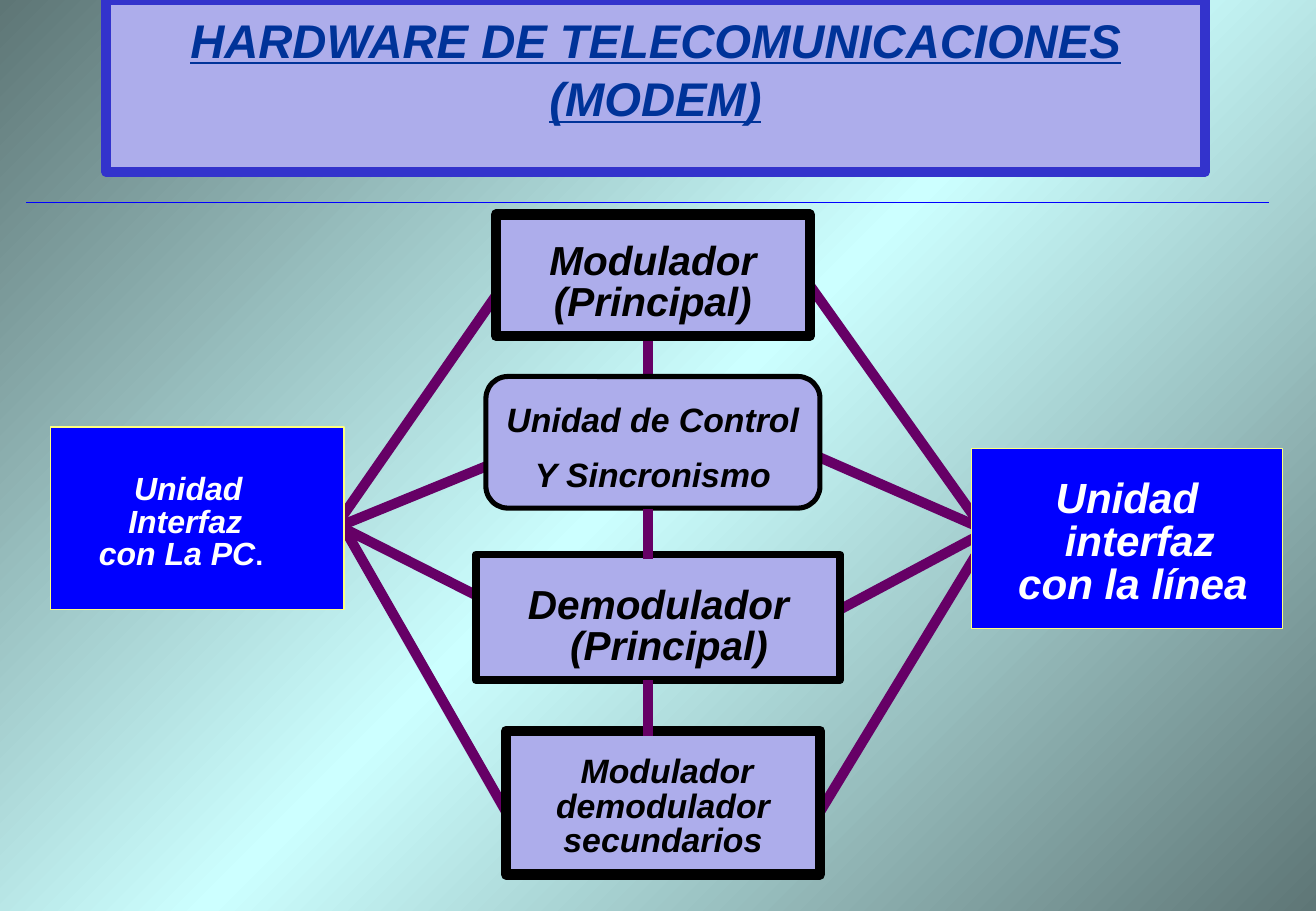
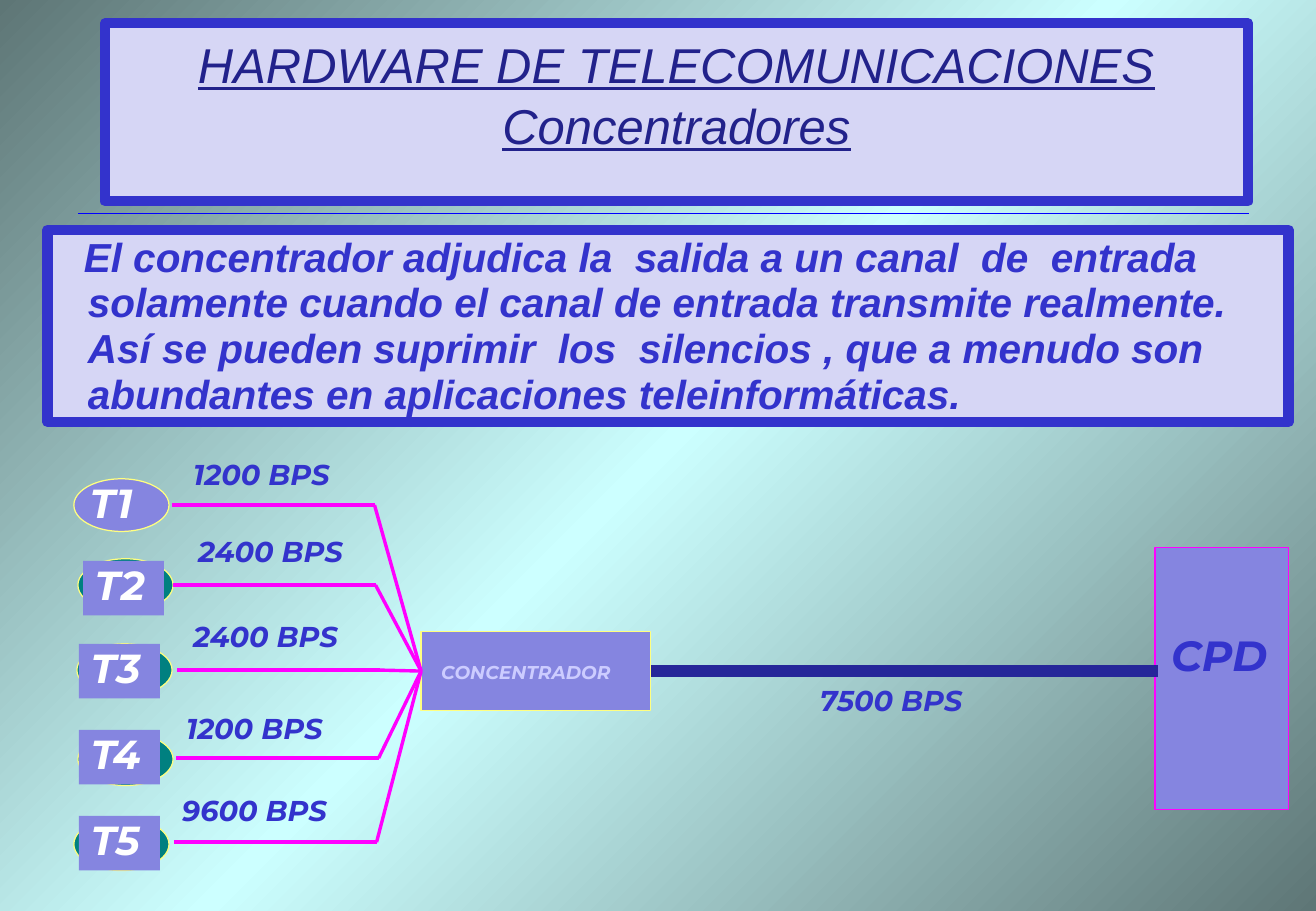
from copy import deepcopy
from dataclasses import dataclass
from typing import NamedTuple, Optional

from lxml import etree
from pptx import Presentation
from pptx.dml.color import RGBColor
from pptx.enum import shapes, text
from pptx.oxml.ns import qn
from pptx import util as u

# The grid has 12 cells to the inch: 130 columns by 90 rows.
COLUMNS, ROWS = 130, 90
COLORS = {
    "edge": "5E7676", "glow": "CCFFFF", "lilac": "ADADEB", "pale": "D6D6F5",
    "violet": "8585E0", "indigo": "3333CC", "navy": "262699", "rule": "0000FF",
    "purple": "660066", "magenta": "FF00FF", "teal": "008080", "cream": "FFFF80",
    "black": "000000", "white": "FFFFFF", "mist": "CCCCFF",
    "title_blue": "003399", "title_navy": "22228B",
}
RECT = shapes.MSO_SHAPE.RECTANGLE
ROUNDED = shapes.MSO_SHAPE.ROUNDED_RECTANGLE
OVAL = shapes.MSO_SHAPE.OVAL
CENTER, LEFT = text.PP_ALIGN.CENTER, text.PP_ALIGN.LEFT
TOP, MIDDLE = text.MSO_ANCHOR.TOP, text.MSO_ANCHOR.MIDDLE


class Area(NamedTuple):
    left: float
    top: float
    width: float
    height: float


class Point(NamedTuple):
    column: float
    row: float


@dataclass
class Style:
    size: float
    color: str
    font: str = "Arial"
    bold: bool = True
    underline: bool = False
    align: int = CENTER
    spacing: float = 0.85
    before: float = 0


@dataclass
class Block:
    area: Area
    fill: str = "lilac"
    line: str = "black"
    weight: float = 6
    kind: int = RECT


@dataclass
class Label:
    area: Area
    lines: tuple[str, ...]
    style: Style
    indents: tuple[float, ...] = ()
    fill: Optional[str] = None
    wrap: bool = False


@dataclass
class Terminal:
    name: str
    oval: Point
    tag: Point
    wire: Point
    speed: str
    speed_at: Point


def cells(count: float) -> int:
    return u.Inches(count / 12)


def rgb(name: str) -> RGBColor:
    return RGBColor.from_string(COLORS[name])


def paint(shape, fill: str, line: str, weight: float) -> None:
    shape.fill.solid()
    shape.fill.fore_color.rgb = rgb(fill)
    shape.line.color.rgb = rgb(line)
    shape.line.width = u.Pt(weight)


def write(frame, lines: tuple[str, ...], style: Style,
          indents: tuple[float, ...] = (), hanging: float = 0) -> None:
    """One paragraph a line; a newline inside a line is a soft break."""
    for index, line in enumerate(lines):
        para = frame.paragraphs[0] if index == 0 else frame.add_paragraph()
        para.text = line
        para.alignment = style.align
        para.line_spacing = style.spacing
        para.space_before = u.Pt(style.before if index else 0)
        if indents:
            properties = para._p.get_or_add_pPr()
            properties.set("marL", str(cells(indents[index])))
            properties.set("indent", str(cells(hanging)))
        font = para.font
        font.name, font.size = style.font, u.Pt(style.size)
        font.bold, font.italic, font.underline = style.bold, True, style.underline
        font.color.rgb = rgb(style.color)


def set_frame(frame, anchor: int, wrap: bool) -> None:
    frame.auto_size = text.MSO_AUTO_SIZE.NONE
    frame.vertical_anchor = anchor
    frame.word_wrap = wrap


def add_block(page, block: Block):
    shape = page.shapes.add_shape(block.kind, *map(cells, block.area))
    shape.shadow.inherit = False
    paint(shape, block.fill, block.line, block.weight)
    return shape


def add_label(page, label: Label):
    box = page.shapes.add_textbox(*map(cells, label.area))
    if label.fill:
        box.fill.solid()
        box.fill.fore_color.rgb = rgb(label.fill)
    set_frame(box.text_frame, MIDDLE, label.wrap)
    write(box.text_frame, label.lines, label.style, label.indents)
    return box.text_frame


def add_link(page, start: Point, end: Point, color: str, weight: float):
    link = page.shapes.add_connector(
        shapes.MSO_CONNECTOR.STRAIGHT, *map(cells, (*start, *end)))
    link.line.color.rgb = rgb(color)
    link.line.width = u.Pt(weight)
    etree.SubElement(link._element.spPr, qn("a:effectLst"))
    return link


def add_page(deck, title: str, area: Area, fill: str, style: Style,
             rule: tuple[Point, Point]):
    """Slide with the framed title and the thin rule under it."""
    page = deck.slides.add_slide(deck.slide_layouts[5])
    box = page.shapes.title
    box.left, box.top, box.width, box.height = map(cells, area)
    paint(box, fill, "indigo", 6)
    set_frame(box.text_frame, TOP, False)
    box.text_frame.margin_top = u.Inches(0.07)
    write(box.text_frame, (title,), style)
    add_link(page, *rule, "rule", 0.05)
    return page


def set_background(master) -> None:
    fill = master.background.fill
    fill.gradient()
    fill.gradient_angle = 315
    stop_list = master.element.find(".//" + qn("a:gsLst"))
    stop_list.append(deepcopy(stop_list[0]))
    for stop, position, color in zip(fill.gradient_stops, (0, 0.5, 1),
                                     ("edge", "glow", "edge")):
        stop.position = position
        stop.color.rgb = rgb(color)


def build_modem(deck) -> None:
    page = add_page(
        deck, "HARDWARE DE TELECOMUNICACIONES\n(MODEM)", Area(10.5, 0, 108.5, 17),
        "lilac", Style(28, "title_blue", underline=True, spacing=1.04),
        (Point(2.6, 20), Point(125.4, 20)))

    spine = [(Point(64, top), Point(64, bottom))
             for top, bottom in ((33.2, 38.8), (50.3, 55.2), (67.2, 72.7))]
    links = [
        (Point(33, 52.2), Point(49, 29.2)), (Point(80, 28.2), Point(97, 52.1)),
        (Point(33, 52.2), Point(55.3, 43.1)), (Point(81, 45.2), Point(97, 52.2)),
        (Point(32, 51.2), Point(48, 59.3)), (Point(83, 60.2), Point(98, 52.2)),
        (Point(34, 52.2), Point(50, 80.2)), (Point(81, 80.2), Point(98, 52.2)),
        spine[0],
    ]
    for start, end in links:
        add_link(page, start, end, "purple", 6)

    for block in (
        Block(Area(47, 54.8, 36, 12.4), weight=4.5),
        Block(Area(5, 42.2, 29, 18), "rule", "cream", 0),
        Block(Area(96, 44.3, 30.7, 17.8), "rule", "cream", 0),
        Block(Area(50, 72.2, 31, 14.2)),
        Block(Area(49, 21.2, 31, 12)),
    ):
        add_block(page, block)

    control = add_block(page, Block(Area(48, 37.2, 33, 13), weight=3, kind=ROUNDED))
    set_frame(control.text_frame, MIDDLE, False)
    write(control.text_frame, ("Unidad de Control", "Y Sincronismo"),
          Style(20, "black", spacing=1.2, before=4))

    main = Style(24, "black")
    for label in (
        Label(Area(49.1, 57.3, 31.9, 9.4), ("Demodulador", "(Principal)"), main,
              (0, 2.1), "lilac", True),
        Label(Area(52, 23.3, 25, 9.4), ("Modulador", "(Principal)"), main,
              fill="lilac", wrap=True),
        Label(Area(52, 74.1, 27, 11.4), ("Modulador", "demodulador", "secundarios"),
              Style(20, "black"), (0.8, 0, 0), "lilac", True),
        Label(Area(99.4, 46.7, 25.1, 14), ("Unidad", "interfaz", "con la línea"),
              Style(25, "white", align=LEFT), (3.7, 4.6, 0)),
    ):
        add_label(page, label)

    computer = add_label(page, Label(
        Area(5.8, 46.2, 24.2, 11), ("Unidad", "Interfaz", "con La PC"),
        Style(19, "white"), (1.4, 0.8, 0), wrap=True))
    period = computer.paragraphs[-1].add_run()
    period.text = "."
    period.font.size, period.font.italic = u.Pt(17), False

    for start, end in spine[1:]:
        add_link(page, start, end, "purple", 6)


def build_concentrator(deck) -> None:
    page = add_page(
        deck, "HARDWARE DE TELECOMUNICACIONES\nConcentradores",
        Area(10.4, 2.3, 112.9, 17.6), "pale",
        Style(29, "title_navy", bold=False, underline=True, spacing=1.04),
        (Point(7.7, 21), Point(123.4, 21)))

    summary = page.shapes.add_textbox(*map(cells, Area(4.7, 22.7, 122.6, 19)))
    paint(summary, "pale", "indigo", 6)
    set_frame(summary.text_frame, TOP, True)
    write(summary.text_frame, (
        "El concentrador adjudica la  salida a un canal  de  entrada\n"
        "solamente cuando el canal de entrada transmite realmente.\n"
        "Así se pueden suprimir  los  silencios , que a menudo son\n"
        "abundantes en aplicaciones teleinformáticas.",),
        Style(24, "indigo", align=LEFT, spacing=0.94), (2.8,), -0.4)

    hub = add_block(page, Block(Area(41.6, 62.4, 22.7, 7.8), "violet", "cream", 0))
    add_block(page, Block(Area(114.1, 54.1, 13.2, 25.9), "violet", "magenta", 0))
    trunk = add_link(page, Point(64.3, 66.3), Point(114.4, 66.3), "navy", 7.55)
    trunk.begin_connect(hub, 3)

    tag_style = Style(24, "white", "Montserrat", align=LEFT)
    speed_style = Style(17, "indigo", "Montserrat", align=LEFT)
    terminals = (
        Terminal("T1", Point(7.3, 47.3), Point(7.7, 47.3), Point(17, 49.9),
                 "1200 BPS", Point(17.9, 45)),
        Terminal("T2", Point(7.7, 55.2), Point(8.2, 55.4), Point(17.1, 57.8),
                 "2400 BPS", Point(18.4, 52.7)),
        Terminal("T3", Point(7.6, 63.6), Point(7.8, 63.6), Point(17.5, 66.2),
                 "2400 BPS", Point(17.9, 61.1)),
        Terminal("T4", Point(7.7, 72.4), Point(7.8, 72.1), Point(17.4, 74.9),
                 "1200 BPS", Point(17.2, 70.1)),
        Terminal("T5", Point(7.3, 80.8), Point(7.8, 80.6), Point(17.2, 83.2),
                 "9600 BPS", Point(16.8, 78.2)),
    )
    for index, terminal in enumerate(terminals):
        plain = index == 0
        add_block(page, Block(Area(*terminal.oval, 9.4, 5.2),
                              "violet" if plain else "teal", "cream", 0, OVAL))
        add_label(page, Label(Area(*terminal.tag, 8, 5.4), (terminal.name,),
                              tag_style, fill=None if plain else "violet"))
        corner = Point(terminal.wire.column + 20, terminal.wire.row)
        add_link(page, terminal.wire, corner, "magenta", 0)
        branch = add_link(page, corner, Point(41.6, 66.3), "magenta", 0)
        branch.end_connect(hub, 1)
        add_label(page, Label(Area(*terminal.speed_at, 17.3, 4.1),
                              (terminal.speed,), speed_style))

    for label in (
        Label(Area(42.4, 65, 20.5, 3.1), ("CONCENTRADOR",),
              Style(11, "mist", "Montserrat", align=LEFT), wrap=True),
        Label(Area(114.5, 62.4, 11.9, 5.4), ("CPD",),
              Style(25, "indigo", "Montserrat", align=LEFT)),
        Label(Area(79.8, 67.4, 17.3, 4.1), ("7500 BPS",), speed_style),
    ):
        add_label(page, label)


def main() -> None:
    deck = Presentation()
    deck.slide_width, deck.slide_height = cells(COLUMNS), cells(ROWS)
    set_background(deck.slide_master)
    build_modem(deck)
    build_concentrator(deck)
    deck.save("out.pptx")


if __name__ == "__main__":
    main()
